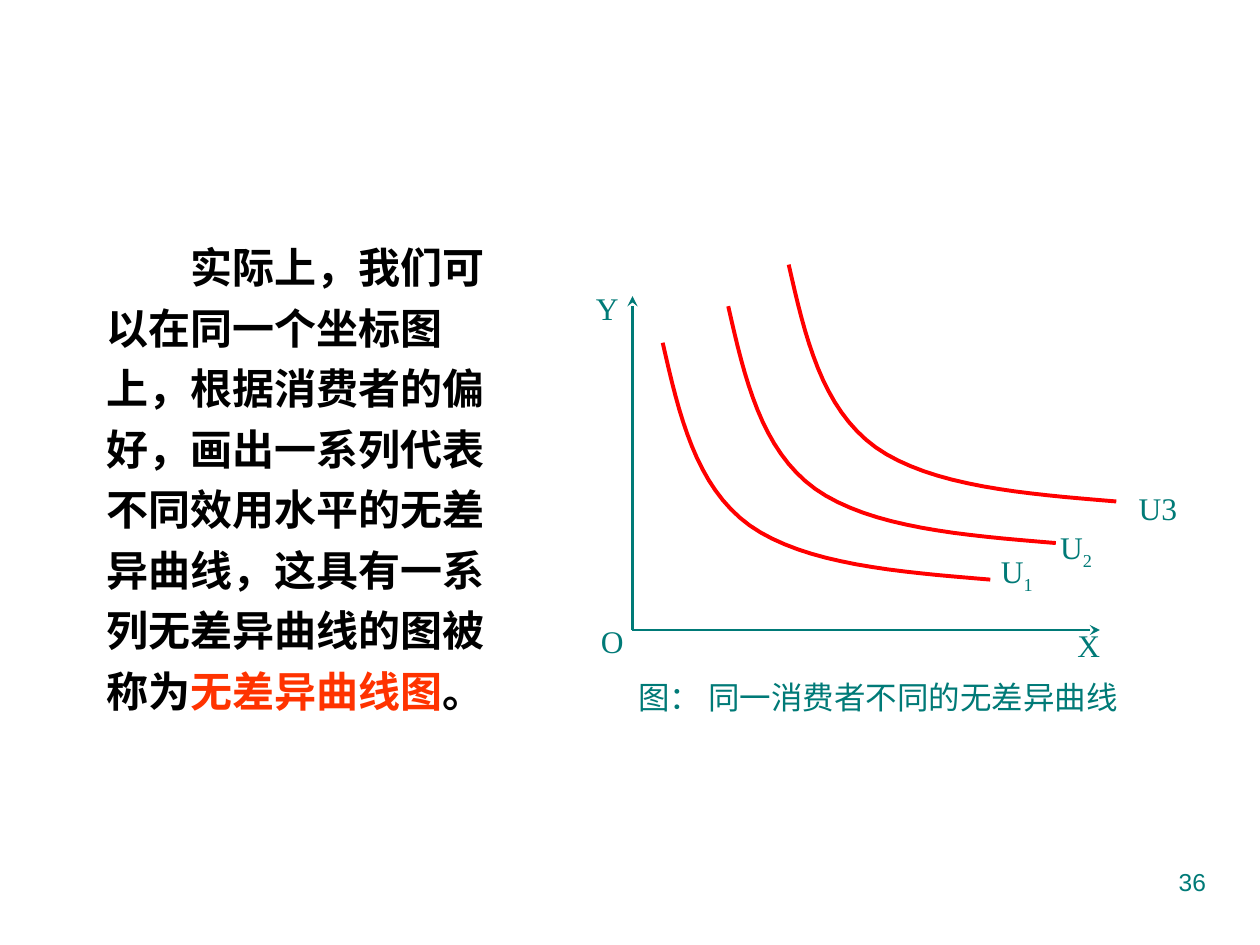
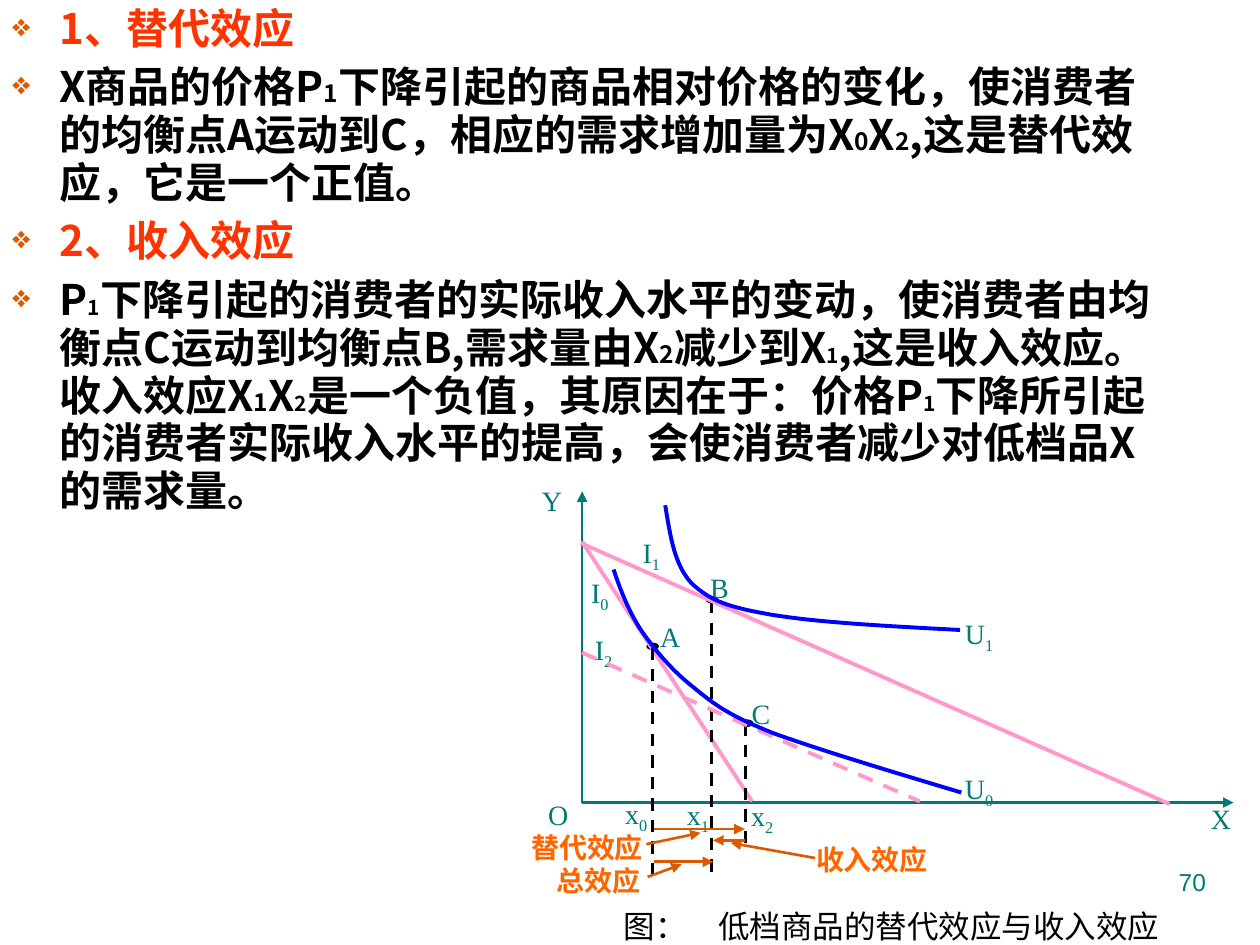
from pptx import Presentation
from pptx.dml.color import RGBColor
from pptx.enum import dml, shapes as kinds, text as styles
from pptx.oxml.ns import qn
from pptx.oxml.xmlchemy import OxmlElement
from pptx.util import Inches, Pt

TEAL, BLACK, RED, ORANGE = "007A77", "000000", "FF3300", "DC5900"
CURVE_RED, CURVE_BLUE, BUDGET_PINK, EFFECT = "FF0000", "0000FF", "FF99CC", "FF6600"
SERIF, SANS, CJK = "Times New Roman", "Arial", "Noto Sans CJK SC"
CENTER, RIGHT = styles.PP_ALIGN.CENTER, styles.PP_ALIGN.RIGHT
LABEL_INSETS = (0.06, 0.04)
BODY_SIZE = 24
BULLET_INDENT = Pt(27)

# Control points of an indifference curve, relative to its upper end
INDIFFERENCE_SHAPE = [(0, 0), (0.13, 0.57), (0.26, 1.14), (0.69, 1.45),
                      (1.13, 1.76), (1.87, 1.82), (2.6, 1.88)]

SUBSTITUTION_TEXT = [
    "X商品的价格P", ("1", 14),
    "下降引起的商品相对价格的变化，使消费者的均衡点A运动到C，相应的需求增加量为X",
    ("0", 14), "X", ("2", 14), ",这是替代效应，它是一个正值。"]
INCOME_TEXT = [
    "P", ("1", 12),
    "下降引起的消费者的实际收入水平的变动，使消费者由均衡点C运动到均衡点B,需求量由X",
    ("2", 14), "减少到X", ("1", 12), ",这是收入效应。收入效应X", ("1", 14),
    "X", ("2", 12), "是一个负值，其原因在于：价格P", ("1", 12),
    "下降所引起的消费者实际收入水平的提高，会使消费者减少对低档品X的需求量。"]


def rgb(value):
    return RGBColor.from_string(value)


def add_child(parent, tag, **attributes):
    child = OxmlElement(tag)
    for name, value in attributes.items():
        child.set(name, value)
    parent.append(child)
    return child


def set_font(paragraph, size, color, name=SERIF, bold=False):
    font = paragraph.font
    font.size, font.bold, font.name = Pt(size), bold, name
    font.color.rgb = rgb(color)
    defaults = paragraph._p.pPr.find(qn("a:defRPr"))
    add_child(defaults, "a:ea", typeface=CJK)


def add_box(shapes, left, top, width, height, insets=(0.1, 0.05)):
    """Add an empty wrapping text box and return its text frame."""
    box = shapes.add_textbox(*map(Inches, (left, top, width, height)))
    frame = box.text_frame
    frame.word_wrap = True
    frame.margin_left = frame.margin_right = Inches(insets[0])
    frame.margin_top = frame.margin_bottom = Inches(insets[1])
    return frame


def add_line_of_text(shapes, area, content, size, color, name=SERIF,
                     align=CENTER, bold=False, insets=(0.1, 0.05)):
    """Add a one-line box; an underscore in content starts a subscript."""
    paragraph = add_box(shapes, *area, insets).paragraphs[0]
    paragraph.alignment = align
    base, _, subscript = content.partition("_")
    paragraph.add_run().text = base
    if subscript:
        run = paragraph.add_run()
        run.text = subscript
        run._r.get_or_add_rPr().set("baseline", "-25000")
    set_font(paragraph, size, color, name, bold)


def add_labels(shapes, labels, size, width, height):
    for content, left, top in labels:
        add_line_of_text(shapes, (left, top, width, height), content, size,
                         TEAL, insets=LABEL_INSETS)


def add_page_number(slide, number):
    add_line_of_text(slide.shapes, (7.17, 6.83, 2.5, 0.52), str(number), 14,
                     TEAL, SANS, RIGHT)


def add_line(shapes, start, end, color, width, arrow=None, dashed=False):
    connector = shapes.add_connector(kinds.MSO_CONNECTOR.STRAIGHT,
                                     *map(Inches, (*start, *end)))
    connector.line.color.rgb = rgb(color)
    connector.line.width = Pt(width)
    if dashed:
        connector.line.dash_style = dml.MSO_LINE.DASH
    properties = connector._element.spPr
    if arrow:
        add_child(properties.find(qn("a:ln")), "a:tailEnd", type=arrow)
    add_child(properties, "a:effectLst")


def bezier_points(controls, steps=16):
    """Sample a chain of cubic Bezier segments that share their end points."""
    points = [controls[0]]
    for first in range(0, len(controls) - 1, 3):
        segment = controls[first:first + 4]
        for step in range(1, steps + 1):
            t = step / steps
            weights = ((1 - t) ** 3, 3 * t * (1 - t) ** 2, 3 * t * t * (1 - t), t ** 3)
            points.append(tuple(sum(w * p[axis] for w, p in zip(weights, segment))
                                for axis in (0, 1)))
    return points


def add_curve(shapes, controls, color):
    points = [(Inches(x), Inches(y)) for x, y in bezier_points(controls)]
    builder = shapes.build_freeform(*points[0])
    builder.add_line_segments(points[1:], close=False)
    curve = builder.convert_to_shape()
    curve.shadow.inherit = False
    curve.fill.background()
    curve.line.color.rgb = rgb(color)
    curve.line.width = Pt(2.25)


def add_dot(shapes, left, top):
    dot = shapes.add_shape(kinds.MSO_SHAPE.OVAL,
                           *map(Inches, (left, top, 0.1, 0.06)))
    dot.shadow.inherit = False
    dot.fill.solid()
    dot.fill.fore_color.rgb = rgb(BLACK)
    dot.line.fill.background()


def add_bullet(paragraph, parts, color):
    """Fill a bulleted paragraph from texts and (small text, size) pairs."""
    properties = paragraph._p.get_or_add_pPr()
    properties.set("marL", str(BULLET_INDENT))
    properties.set("indent", str(-BULLET_INDENT))
    add_child(add_child(properties, "a:buClr"), "a:srgbClr", val=ORANGE)
    add_child(properties, "a:buSzPct", val="75000")
    add_child(properties, "a:buChar", char="❖")
    paragraph.line_spacing = 0.95
    for part in parts:
        content, size = (part, BODY_SIZE) if isinstance(part, str) else part
        run = paragraph.add_run()
        run.text = content
        run.font.size = Pt(size)
    set_font(paragraph, BODY_SIZE, color, CJK, bold=True)


def add_map_definition(slide):
    paragraph = add_box(slide.shapes, 0.75, 1.79, 3.47, 3.94).paragraphs[0]
    properties = paragraph._p.get_or_add_pPr()
    properties.set("indent", str(Pt(2 * BODY_SIZE)))
    properties.set("hangingPunct", "0")
    paragraph.line_spacing = 1.2
    for content, color in (
            ("实际上，我们可以在同一个坐标图上，根据消费者的偏好，画出一系列代表"
             "不同效用水平的无差异曲线，这具有一系列无差异曲线的图被称为", BLACK),
            ("无差异曲线图", RED), ("。", BLACK)):
        run = paragraph.add_run()
        run.text = content
        run.font.color.rgb = rgb(color)
    set_font(paragraph, BODY_SIZE, BLACK, bold=True)


def build_indifference_map(slide):
    shapes = slide.shapes
    add_map_definition(slide)
    add_line_of_text(shapes, (4.61, 5.33, 4.72, 0.43),
                     "图： 同一消费者不同的无差异曲线", 18, TEAL, CJK)
    origin = (5.02, 5)
    for end in ((5.02, 2.35), (8.73, 5)):
        add_line(shapes, origin, end, TEAL, 1.5, "stealth")
    add_labels(shapes, [("O", 4.6, 4.9), ("X", 8.38, 4.93), ("Y", 4.56, 2.25),
                        ("U_1", 7.81, 4.34), ("U_2", 8.28, 4.15),
                        ("U3", 8.93, 3.84)], 18, 0.52, 0.41)
    for left, top in ((5.26, 2.72), (5.78, 2.43), (6.26, 2.1)):
        controls = [(left + x, top + y) for x, y in INDIFFERENCE_SHAPE]
        add_curve(shapes, controls, CURVE_RED)
    add_page_number(slide, 36)


def add_effects_text(slide):
    frame = add_box(slide.shapes, 0, 0, 9.34, 6.07)
    items = [(["1、替代效应"], RED), (SUBSTITUTION_TEXT, BLACK),
             (["2、收入效应"], RED), (INCOME_TEXT, BLACK)]
    for index, (parts, color) in enumerate(items):
        paragraph = frame.add_paragraph() if index else frame.paragraphs[0]
        add_bullet(paragraph, parts, color)
        if index:
            paragraph.space_before = Pt(6)


def add_effects_diagram(slide):
    shapes = slide.shapes.add_group_shape().shapes
    add_line_of_text(shapes, (4.74, 7.15, 4.67, 0.35),
                     "图：　低档商品的替代效应与收入效应", 18, BLACK, CJK)
    origin = (4.62, 6.37)
    for end in ((4.62, 3.9), (9.79, 6.37)):
        add_line(shapes, origin, end, TEAL, 1.5, "triangle")
    for left, top in ((5.13, 5.1), (5.6, 4.73), (5.88, 5.71)):
        add_dot(shapes, left, top)
    add_line(shapes, (4.62, 4.3), (5.97, 6.36), BUDGET_PINK, 2.25)
    add_labels(shapes, [
        ("O", 4.11, 6.29), ("X", 9.37, 6.32), ("Y", 4.06, 3.8),
        ("A", 5, 4.88), ("B", 5.39, 4.49), ("C", 5.72, 5.49),
        ("U_0", 7.45, 6.08), ("U_1", 7.45, 4.85),
        ("I_0", 4.44, 4.53), ("I_1", 4.85, 4.21), ("I_2", 4.47, 4.98),
        ("x_0", 4.73, 6.28), ("x_1", 5.22, 6.29), ("x_2", 5.73, 6.3)],
        16, 0.64, 0.34)

    for x, top, bottom in ((5.18, 5.14, 6.94), (5.92, 5.74, 6.72), (5.65, 4.77, 6.94)):
        add_line(shapes, (x, top), (x, bottom), BLACK, 1.75, dashed=True)
    effect_arrows = [((5.19, 6.58), (5.91, 6.58)), ((5.91, 6.67), (5.66, 6.67)),
                     ((5.19, 6.84), (5.66, 6.84))]
    pointers = [((5.13, 6.7), (5.56, 6.61)), ((6.47, 6.81), (5.8, 6.69)),
                ((5.14, 6.96), (5.41, 6.86))]
    for start, end in effect_arrows + pointers:
        add_line(shapes, start, end, ORANGE, 1.5, "triangle")
    for content, left, top in (("替代效应", 4.13, 6.55), ("收入效应", 6.39, 6.65),
                               ("总效应", 4.22, 6.81)):
        add_line_of_text(shapes, (left, top, 1.06, 0.34), content, 16, EFFECT,
                         bold=True, insets=LABEL_INSETS)

    add_line(shapes, (4.62, 5.18), (7.3, 6.36), BUDGET_PINK, 2.25, dashed=True)
    add_line(shapes, (4.61, 4.31), (9.28, 6.38), BUDGET_PINK, 2.25)
    higher_utility = [(5.28, 4.01), (5.32, 4.25), (5.35, 4.48), (5.49, 4.63),
                      (5.64, 4.77), (5.78, 4.82), (6.13, 4.88),
                      (6.49, 4.94), (7.05, 4.97), (7.62, 5)]
    lower_utility = [(4.87, 4.52), (4.92, 4.67), (4.98, 4.83), (5.08, 4.99),
                     (5.19, 5.15), (5.33, 5.32), (5.51, 5.46),
                     (5.68, 5.6), (5.79, 5.68), (6.14, 5.82),
                     (6.5, 5.95), (7.06, 6.12), (7.63, 6.29)]
    for controls in (higher_utility, lower_utility):
        add_curve(shapes, controls, CURVE_BLUE)


def build_effects(slide):
    add_effects_text(slide)
    add_effects_diagram(slide)
    add_page_number(slide, 70)


def main():
    presentation = Presentation()
    presentation.slide_width, presentation.slide_height = Inches(10), Inches(7.5)
    blank = presentation.slide_layouts[6]
    for build in (build_indifference_map, build_effects):
        build(presentation.slides.add_slide(blank))
    presentation.save("out.pptx")


if __name__ == "__main__":
    main()
